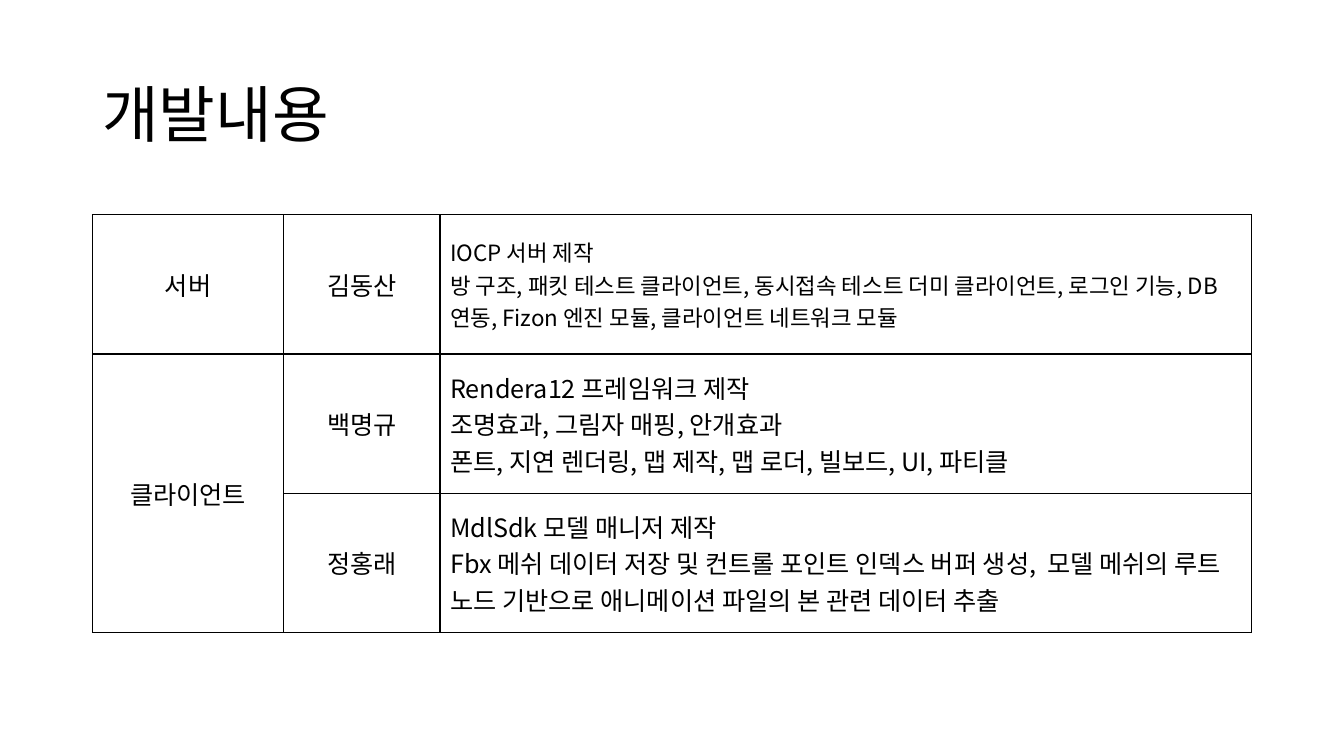
from dataclasses import dataclass

from lxml.etree import SubElement
from pptx import Presentation
from pptx.dml.color import RGBColor
from pptx.enum.text import MSO_ANCHOR, PP_ALIGN
from pptx.oxml.ns import qn
from pptx.slide import Slide
from pptx.table import Table, _Cell
from pptx.text.text import TextFrame
from pptx.util import Cm, Pt

COLORS = {"ink": "000000", "paper": "FFFFFF"}
FONT = "Noto Sans CJK KR"
LEFT, WIDTH = Cm(2.33), Cm(29.21)
COLUMN_WIDTHS = (Cm(4.82), Cm(3.94), Cm(20.45))
ROW_HEIGHT = Cm(3.51)
BORDER_WIDTH = Pt(1)


@dataclass(frozen=True)
class Assignment:
    member: str
    work: tuple[str, ...]
    work_size: int = 18


@dataclass(frozen=True)
class Part:
    title: str
    assignments: tuple[Assignment, ...]


PARTS = (
    Part("서버", (
        Assignment("김동산", (
            "IOCP 서버 제작",
            "방 구조, 패킷 테스트 클라이언트, 동시접속 테스트 더미 클라이언트, "
            "로그인 기능, DB연동, Fizon 엔진 모듈, 클라이언트 네트워크 모듈",
        ), 16),
    )),
    Part("클라이언트", (
        Assignment("백명규", (
            "Rendera12 프레임워크 제작",
            "조명효과, 그림자 매핑, 안개효과",
            "폰트, 지연 렌더링, 맵 제작, 맵 로더, 빌보드, UI, 파티클",
        )),
        Assignment("정홍래", (
            "MdlSdk 모델 매니저 제작",
            "Fbx 메쉬 데이터 저장 및 컨트롤 포인트 인덱스 버퍼 생성,  모델 메쉬의 "
            "루트 노드 기반으로 애니메이션 파일의 본 관련 데이터 추출",
        )),
    )),
)


def write(frame: TextFrame, lines: tuple[str, ...], size: int,
          align: PP_ALIGN = PP_ALIGN.LEFT, spacing: float = 1.0) -> None:
    """Put one paragraph per line, in the slide's font for Latin and Korean."""
    for index, line in enumerate(lines):
        paragraph = frame.add_paragraph() if index else frame.paragraphs[0]
        for name, value in {"alignment": align, "line_spacing": spacing}.items():
            setattr(paragraph, name, value)
        run = paragraph.add_run()
        run.text = line
        for name, value in {"name": FONT, "size": Pt(size), "bold": False}.items():
            setattr(run.font, name, value)
        run.font.color.rgb = RGBColor.from_string(COLORS["ink"])
        SubElement(run.font._element, qn("a:ea"), typeface=FONT)


def style_cell(cell: _Cell) -> None:
    """Give the cell four border lines, a plain fill and centred anchoring."""
    cell.vertical_anchor = MSO_ANCHOR.MIDDLE
    properties = cell._tc.get_or_add_tcPr()
    for side in ("a:lnL", "a:lnR", "a:lnT", "a:lnB"):
        line = SubElement(properties, qn(side), w=str(int(BORDER_WIDTH)))
        SubElement(SubElement(line, qn("a:solidFill")), qn("a:srgbClr"),
                   val=COLORS["ink"])
    cell.fill.solid()
    cell.fill.fore_color.rgb = RGBColor.from_string(COLORS["paper"])


def add_title(slide: Slide, title: str) -> None:
    frame = slide.shapes.add_textbox(LEFT, Cm(1.01), WIDTH, Cm(3.92)).text_frame
    for name, value in {"word_wrap": True,
                        "vertical_anchor": MSO_ANCHOR.MIDDLE}.items():
        setattr(frame, name, value)
    write(frame, (title,), 44, spacing=0.9)


def fill_table(table: Table, parts: tuple[Part, ...]) -> None:
    row = 0
    for part in parts:
        part_cell = table.cell(row, 0)
        last_row = row + len(part.assignments) - 1
        if last_row > row:
            part_cell.merge(table.cell(last_row, 0))
        write(part_cell.text_frame, (part.title,), 18, PP_ALIGN.CENTER)
        for assignment in part.assignments:
            write(table.cell(row, 1).text_frame, (assignment.member,), 18,
                  PP_ALIGN.CENTER)
            write(table.cell(row, 2).text_frame, assignment.work,
                  assignment.work_size)
            row += 1


def add_work_table(slide: Slide, parts: tuple[Part, ...]) -> None:
    row_count = sum(len(part.assignments) for part in parts)
    table = slide.shapes.add_table(row_count, len(COLUMN_WIDTHS), LEFT, Cm(5.41),
                                   WIDTH, ROW_HEIGHT * row_count).table
    for name, value in {"first_row": False, "horz_banding": False}.items():
        setattr(table, name, value)
    for column, width in zip(table.columns, COLUMN_WIDTHS):
        column.width = width
    for table_row in table.rows:
        table_row.height = ROW_HEIGHT
    for cell in table.iter_cells():
        style_cell(cell)
    fill_table(table, parts)


def main() -> None:
    presentation = Presentation()
    for name, value in {"slide_width": Cm(33.87), "slide_height": Cm(19.05)}.items():
        setattr(presentation, name, value)
    slide = presentation.slides.add_slide(presentation.slide_layouts[6])
    add_title(slide, "개발내용")
    add_work_table(slide, PARTS)
    presentation.save("out.pptx")


if __name__ == "__main__":
    main()
